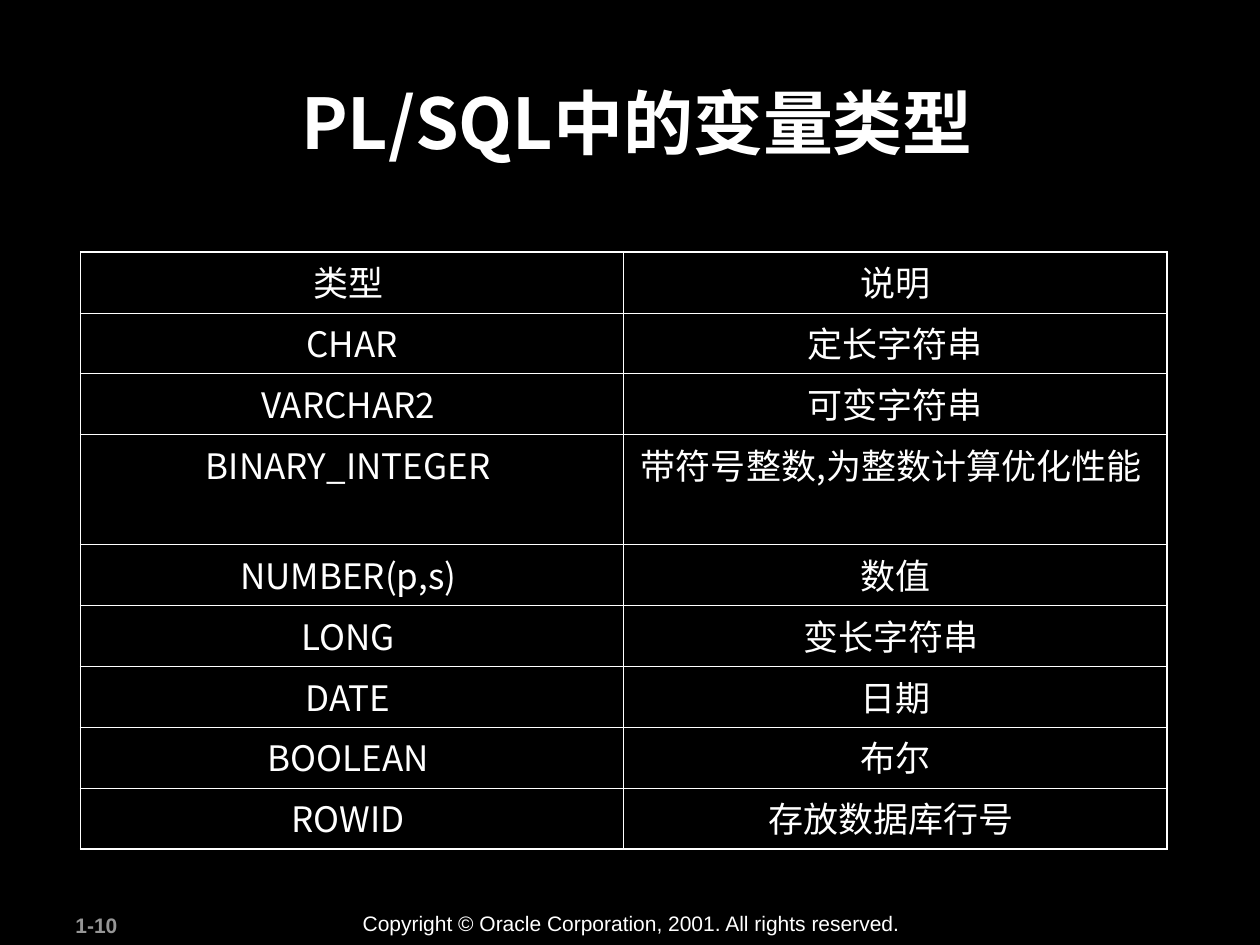
from pptx import Presentation
from pptx.dml.color import RGBColor
from pptx.enum.text import MSO_ANCHOR as Anchor, PP_ALIGN as Align
from pptx.oxml import parse_xml
from pptx.oxml.ns import nsdecls, qn
from pptx.util import Inches, Pt

TYPES = [
    ("类型 ", "说明"),
    ("CHAR", "定长字符串"),
    ("VARCHAR2 ", "可变字符串"),
    ("BINARY_INTEGER ", "带符号整数,为整数计算优化性能 "),
    ("NUMBER(p,s) ", "数值"),
    ("LONG ", "变长字符串 "),
    ("DATE ", "日期"),
    ("BOOLEAN ", "布尔"),
    ("ROWID ", "存放数据库行号 "),
]
TABLE_HEIGHT = 4.74
TALL_ROW, TALL_HEIGHT = 3, 0.87


def color(value):
    return RGBColor.from_string(value)


def write(frame, text, font="Arial", size=12, fill="FFFFFF", bold=False,
          align=Align.LEFT, spacing=None):
    para = frame.paragraphs[0]
    para.alignment = align
    if spacing:
        para.line_spacing = spacing
    span = para.add_run()
    span.text = text
    span.font.size = Pt(size)
    span.font.bold = bold
    span.font.color.rgb = color(fill)
    span.font.name = font
    east_asian = parse_xml(f'<a:ea {nsdecls("a")} typeface="{font}"/>')
    span.font._element.find(qn("a:latin")).addnext(east_asian)


def add_borders(cell, widths, fill):
    """Draw the cell edges; widths maps L, R, T and B to points."""
    properties = cell._tc.get_or_add_tcPr()
    for side, width in widths.items():
        properties.append(parse_xml(
            f'<a:ln{side} {nsdecls("a")} w="{Pt(width)}"><a:solidFill>'
            f'<a:srgbClr val="{fill}"/></a:solidFill></a:ln{side}>'))


class SlideBuilder:
    ink = "FFFFFF"
    muted = "969696"
    heading_font = "Noto Sans CJK SC"
    outer_line = 1.08
    inner_line = 0.45

    def __init__(self, deck):
        self.page = deck.slides.add_slide(deck.slide_layouts[6])
        background = self.page.background.fill
        background.solid()
        background.fore_color.rgb = color("000000")

    def text(self, text, left, top, width, height, **style):
        box = self.page.shapes.add_textbox(
            Inches(left), Inches(top), Inches(width), Inches(height))
        frame = box.text_frame
        frame.word_wrap = True
        frame.vertical_anchor = Anchor.TOP
        write(frame, text, **style)
        return frame

    def title(self, text):
        frame = self.text(text, 0.94, 0.58, 8.1, 0.96, font=self.heading_font,
                          size=40, bold=True, align=Align.CENTER)
        frame.margin_left = Inches(0.23)

    def table(self, rows, left, top, column_width, row_heights):
        last_row, last_column = len(rows) - 1, len(rows[0]) - 1
        table = self.page.shapes.add_table(
            len(rows), len(rows[0]), Inches(left), Inches(top),
            Inches(column_width * len(rows[0])),
            Inches(sum(row_heights))).table
        table.first_row = table.horz_banding = False
        for column in table.columns:
            column.width = Inches(column_width)
        for r, row in enumerate(rows):
            table.rows[r].height = Inches(row_heights[r])
            for c, text in enumerate(row):
                cell = table.cell(r, c)
                edges = {"L": c == 0, "R": c == last_column,
                         "T": r == 0, "B": r == last_row}
                widths = {side: self.outer_line if outer else self.inner_line
                          for side, outer in edges.items()}
                add_borders(cell, widths, self.ink)
                cell.fill.background()
                write(cell.text_frame, text, font=self.heading_font, size=20,
                      align=Align.CENTER, spacing=0.95)


def main():
    deck = Presentation()
    deck.slide_width, deck.slide_height = Inches(10), Inches(7.5)
    slide = SlideBuilder(deck)
    slide.text("1-10", 0.5, 7.19, 1.05, 0.3, fill=slide.muted, bold=True)
    slide.text("Copyright © Oracle Corporation, 2001. All rights reserved.",
               2.78, 7.18, 4.48, 0.3)
    slide.title("PL/SQL中的变量类型")
    row_heights = [(TABLE_HEIGHT - TALL_HEIGHT) / (len(TYPES) - 1)] * len(TYPES)
    row_heights[TALL_ROW] = TALL_HEIGHT
    slide.table(TYPES, 0.64, 2, 4.31, row_heights)
    deck.save("out.pptx")


if __name__ == "__main__":
    main()
